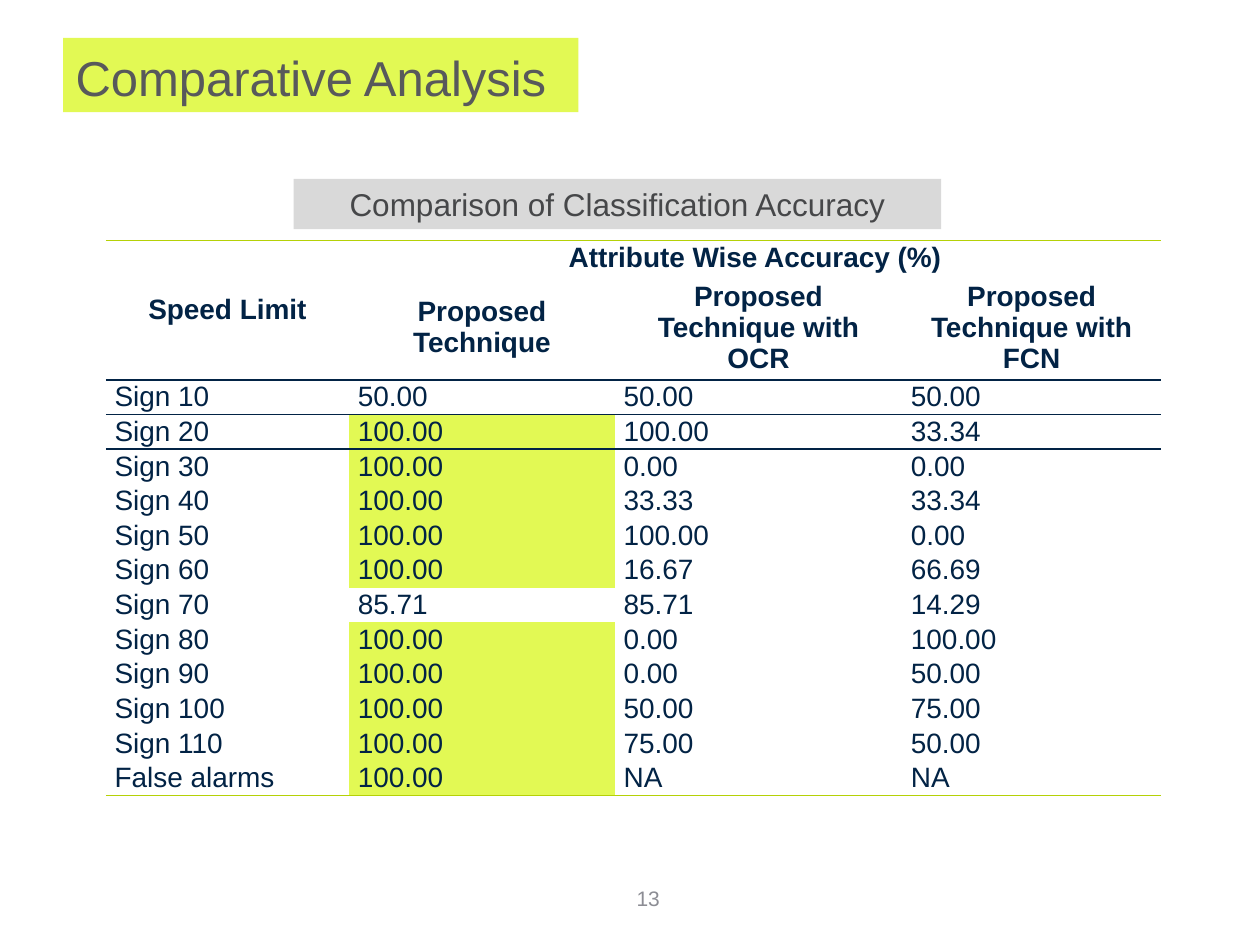
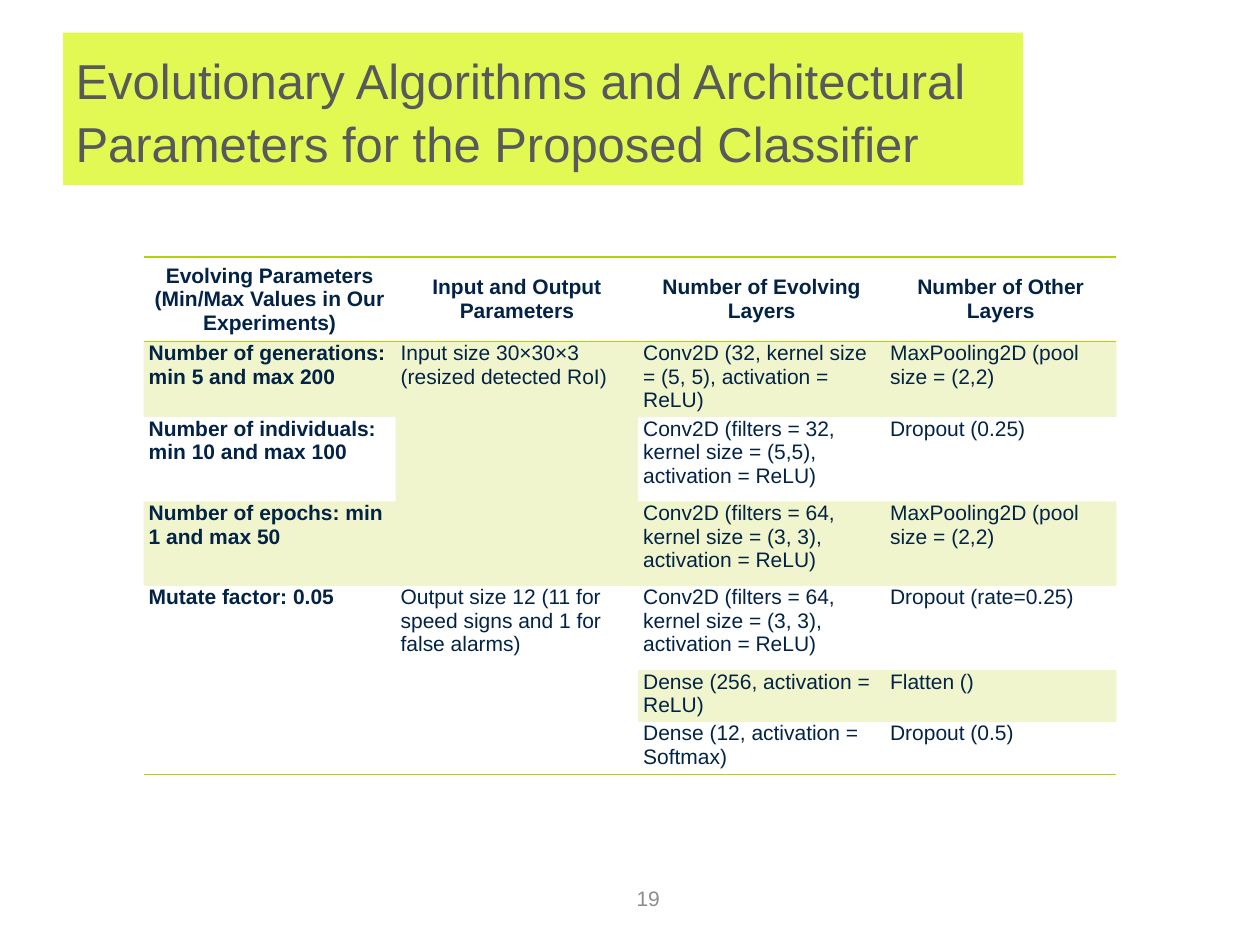
"""Build two slides with tables on classification accuracy and classifier parameters."""
from dataclasses import dataclass

from lxml import etree
from pptx import Presentation
from pptx.dml.color import RGBColor
from pptx.enum.shapes import MSO_SHAPE
from pptx.enum.text import MSO_ANCHOR, MSO_AUTO_SIZE, PP_ALIGN
from pptx.oxml.ns import qn
from pptx.util import Pt

LEFT, CENTER = PP_ALIGN.LEFT, PP_ALIGN.CENTER
TOP, MIDDLE = MSO_ANCHOR.TOP, MSO_ANCHOR.MIDDLE
NO_AUTO_SIZE = MSO_AUTO_SIZE.NONE
RECTANGLE = MSO_SHAPE.RECTANGLE
PX = 4572
PLAIN_TABLE_STYLE = "{2D5ABB26-0587-4C30-8999-92F81FD0307C}"


@dataclass(frozen=True)
class Theme:
    font: str = "Arial"
    highlight: str = "E2F954"
    lime: str = "B5D107"
    navy: str = "022345"
    title: str = "58595B"
    caption_fill: str = "D9D9D9"
    caption: str = "464749"
    number: str = "8C8D94"
    title_size: int = 28
    caption_size: int = 18
    large_size: int = 16
    small_size: int = 12


THEME = Theme()


def write_text(frame, text, size, color, align=LEFT, anchor=MIDDLE, bold=False):
    frame.text = text
    frame.word_wrap = True
    frame.vertical_anchor = anchor
    paragraph = frame.paragraphs[0]
    paragraph.alignment = align
    font = paragraph.runs[0].font
    for name, value in {"name": THEME.font, "size": Pt(size), "bold": bold}.items():
        setattr(font, name, value)
    font.color.rgb = RGBColor.from_string(color)


def add_ruled_table(slide, left, top, widths, heights, merges, rules):
    frame = slide.shapes.add_table(
        len(heights), len(widths), left * PX, top * PX, sum(widths) * PX, sum(heights) * PX)
    table = frame.table
    table.first_row = table.horz_banding = False
    table._tbl.tblPr.find(qn("a:tableStyleId")).text = PLAIN_TABLE_STYLE
    for column, width in zip(table.columns, widths):
        column.width = width * PX
    for row, height in zip(table.rows, heights):
        row.height = height * PX
    for first_row, first_column, last_row, last_column in merges:
        table.cell(first_row, first_column).merge(table.cell(last_row, last_column))
    for row_index, edge, color in rules:
        cells = list(table.rows[row_index].cells)
        if edge == "lnB":
            cells += [table.cell(merge[0], merge[1]) for merge in merges
                      if merge[0] < merge[2] == row_index]
        for cell in cells:
            line = etree.SubElement(cell._tc.get_or_add_tcPr(), qn(f"a:{edge}"), w=str(Pt(1)))
            fill = etree.SubElement(line, qn("a:solidFill"))
            etree.SubElement(fill, qn("a:srgbClr"), val=color)
    return table


presentation = Presentation()
presentation.slide_width = 2000 * PX
presentation.slide_height = 1500 * PX

slides = []
for title, number, box in [
    ("Comparative Analysis", "13", (100, 60, 818, 118)),
    ("Evolutionary Algorithms and Architectural Parameters for the Proposed Classifier",
     "19", (100, 52, 1524, 242)),
]:
    slide = presentation.slides.add_slide(presentation.slide_layouts[5])
    heading = slide.shapes.title
    for name, value in zip(("left", "top", "width", "height"), box):
        setattr(heading, name, value * PX)
    heading.fill.solid()
    heading.fill.fore_color.rgb = RGBColor.from_string(THEME.highlight)
    write_text(heading.text_frame, title, THEME.title_size, THEME.title)
    heading.text_frame.auto_size = NO_AUTO_SIZE
    heading.text_frame.paragraphs[0].line_spacing = 1.08
    footer = slide.shapes.add_textbox(796 * PX, 1386 * PX, 466 * PX, 80 * PX)
    write_text(footer.text_frame, number, THEME.small_size, THEME.number, CENTER)
    slides.append(slide)

accuracy_slide, parameter_slide = slides

accuracy_rows = [
    ("Speed Limit", "Attribute Wise Accuracy (%)", "", ""),
    ("", "Proposed Technique", "Proposed Technique with OCR", "Proposed Technique with FCN"),
    ("Sign 10", "50.00", "50.00", "50.00"),
    ("Sign 20", "100.00", "100.00", "33.34"),
    ("Sign 30", "100.00", "0.00", "0.00"),
    ("Sign 40", "100.00", "33.33", "33.34"),
    ("Sign 50", "100.00", "100.00", "0.00"),
    ("Sign 60", "100.00", "16.67", "66.69"),
    ("Sign 70", "85.71", "85.71", "14.29"),
    ("Sign 80", "100.00", "0.00", "100.00"),
    ("Sign 90", "100.00", "0.00", "50.00"),
    ("Sign 100", "100.00", "50.00", "75.00"),
    ("Sign 110", "100.00", "75.00", "50.00"),
    ("False alarms", "100.00", "NA", "NA"),
]
accuracy_table = add_ruled_table(
    accuracy_slide, 168, 382, [386, 422, 456, 411], [55, 166] + [55] * 12,
    merges=[(0, 0, 1, 0), (0, 1, 0, 3)],
    rules=[(0, "lnT", THEME.lime), (1, "lnB", THEME.navy), (2, "lnT", THEME.navy),
           (2, "lnB", THEME.navy), (3, "lnT", THEME.navy), (13, "lnB", THEME.lime)])

parameter_rows = [
    ("Evolving Parameters (Min/Max Values in Our Experiments)", "Input and Output Parameters",
     "Number of Evolving Layers", "Number of Other Layers"),
    ("Number of generations: min 5 and max 200", "Input size 30×30×3 (resized detected RoI)",
     "Conv2D (32, kernel size = (5, 5), activation = ReLU)", "MaxPooling2D (pool size = (2,2)"),
    ("Number of individuals: min 10 and max 100", "",
     "Conv2D (filters = 32, kernel size = (5,5), activation = ReLU)", "Dropout (0.25)"),
    ("Number of epochs: min 1 and max 50", "",
     "Conv2D (filters = 64, kernel size = (3, 3), activation = ReLU)",
     "MaxPooling2D (pool size = (2,2)"),
    ("Mutate factor: 0.05", "Output size 12 (11 for speed signs and 1 for false alarms)",
     "Conv2D (filters = 64, kernel size = (3, 3), activation = ReLU)", "Dropout (rate=0.25)"),
    ("", "", "Dense (256, activation = ReLU)", "Flatten ()"),
    ("", "", "Dense (12, activation = Softmax)", "Dropout (0.5)"),
]
parameter_table = add_ruled_table(
    parameter_slide, 228, 408, [400, 385, 392, 367], [134, 120, 134, 134, 134, 82, 84],
    merges=[(1, 1, 3, 1), (4, 0, 6, 0), (4, 1, 6, 1)],
    rules=[(0, "lnT", THEME.lime), (0, "lnB", THEME.lime), (6, "lnB", THEME.lime)])

for table, rows, header_count, size, inset, body_anchor in [
    (accuracy_table, accuracy_rows, 2, THEME.large_size, 14, MIDDLE),
    (parameter_table, parameter_rows, 1, THEME.small_size, 8, TOP),
]:
    for row_index, row in enumerate(rows):
        is_header = row_index < header_count
        for column_index, text in enumerate(row):
            cell = table.cell(row_index, column_index)
            if cell.is_spanned:
                continue
            margins = {"margin_left": inset * PX, "margin_right": inset * PX,
                       "margin_top": 0, "margin_bottom": 0}
            for name, value in margins.items():
                setattr(cell, name, value)
            is_bold = is_header or (table is parameter_table and column_index == 0)
            write_text(cell.text_frame, text, size, THEME.navy,
                       CENTER if is_header else LEFT, bold=is_bold)
            cell.vertical_anchor = MIDDLE if is_header else body_anchor
            if table is accuracy_table and column_index == 1 and text == "100.00":
                cell.fill.solid()
                cell.fill.fore_color.rgb = RGBColor.from_string(THEME.highlight)
            elif table is parameter_table and row_index % 2:
                cell.fill.solid()
                cell.fill.fore_color.rgb = RGBColor.from_string(THEME.lime)
                tint = cell._tc.tcPr.find(qn("a:solidFill")).find(qn("a:srgbClr"))
                etree.SubElement(tint, qn("a:alpha"), val="20000")
            else:
                cell.fill.background()

caption = accuracy_slide.shapes.add_shape(RECTANGLE, 466 * PX, 284 * PX, 1028 * PX, 80 * PX)
caption.shadow.inherit = False
caption.fill.solid()
caption.fill.fore_color.rgb = RGBColor.from_string(THEME.caption_fill)
caption.line.fill.background()
write_text(caption.text_frame, "Comparison of Classification Accuracy",
           THEME.caption_size, THEME.caption, CENTER, TOP)

presentation.save("out.pptx")
